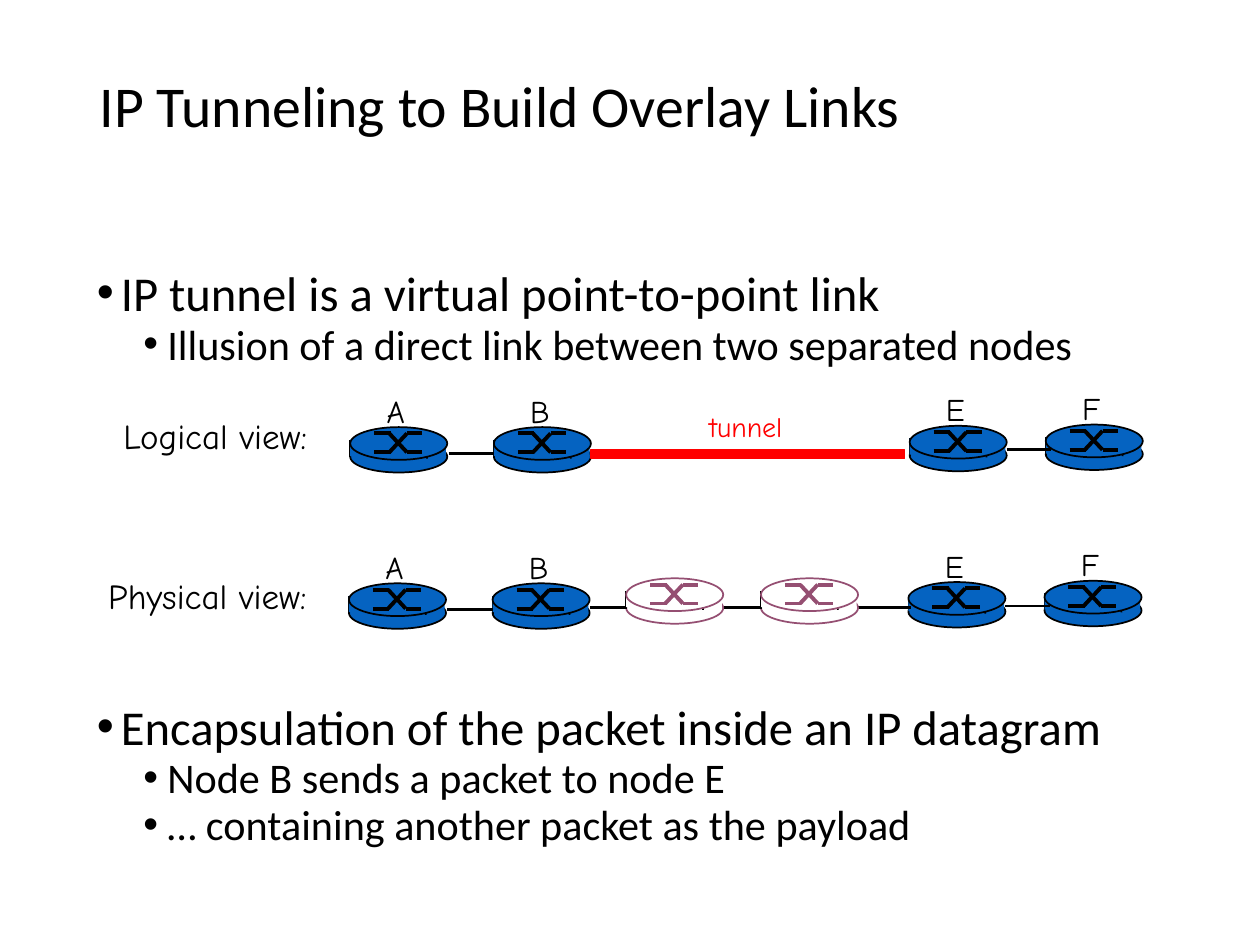
from lxml import etree
from pptx import Presentation, util as u
from pptx.dml.color import RGBColor
from pptx.enum import shapes, text
from pptx.oxml import ns

COLUMNS, ROWS = 1000, 750
CELL = u.Inches(10) // COLUMNS

BLACK = RGBColor(0x00, 0x00, 0x00)
WHITE = RGBColor(0xFF, 0xFF, 0xFF)
RED = RGBColor(0xFF, 0x00, 0x00)
BLUE = RGBColor(0x05, 0x63, 0xC1)
PLUM = RGBColor(0x95, 0x4F, 0x72)

BODY_FONT, DIAGRAM_FONT = "Calibri", "Comic Neue"

# (indent level, space before in points, wording)
BULLETS = [
    (0, 7.5, "IP tunnel is a virtual point-to-point link"),
    (1, 3.8, "Illusion of a direct link between two separated nodes"),
    (0, 194, "Encapsulation of the packet inside an IP datagram"),
    (1, 3.8, "Node B sends a packet to node E"),
    (1, 3.8, "… containing another packet as the payload"),
]
# level: (font size, left margin in columns)
LEVELS = {0: (27.8, 19), 1: (24.1, 56)}

# Router name: column and row within a view
ROUTERS = {"A": (0, 2), "B": (114, 2), "E": (444, 1), "F": (552, 0)}
TRANSIT_ROUTERS = [(220, -2), (327, -2)]
ACCESS_LINKS = [(78, 114, 23), (521, 556, 20)]

# Segments within a router: start column and row, end column and row
ROUTER_SIDES = [(0, 10, 0, 24), (60, 11, 61, 25)]
ROUTER_CROSS = [
    (19, 5, 32, 5), (45, 20, 57, 20), (31, 5, 45, 20),
    (19, 20, 32, 20), (45, 5, 57, 5), (31, 20, 45, 5),
]


def cells(*counts):
    return [u.Emu(count * CELL) for count in counts]


def style_font(font, name, size, color):
    font.name, font.size, font.color.rgb = name, u.Pt(size), color


def add_solid(parent, kind, box, fill, line=None, width=1):
    shape = parent.add_shape(kind, *cells(*box))
    shape.shadow.inherit = False
    shape.fill.solid()
    shape.fill.fore_color.rgb = fill
    if line is None:
        shape.line.fill.background()
    else:
        shape.line.color.rgb, shape.line.width = line, u.Pt(width)


def add_segment(parent, ends, color, width):
    line = parent.add_connector(shapes.MSO_CONNECTOR.STRAIGHT, *cells(*ends))
    line.line.color.rgb, line.line.width = color, u.Pt(width)
    etree.SubElement(line._element.spPr, ns.qn("a:effectLst"))


def add_label(parent, box, wording, size, color=BLACK):
    frame = parent.add_textbox(*cells(*box)).text_frame
    frame.word_wrap = False
    frame.auto_size = text.MSO_AUTO_SIZE.SHAPE_TO_FIT_TEXT
    frame.text = wording
    style_font(frame.paragraphs[0].font, DIAGRAM_FONT, size, color)


def add_router(slide, left, top, name=None, fill=BLUE, line=BLACK):
    """Draw a flat cylinder with a crossing sign, and its name above."""
    parts = slide.shapes.add_group_shape().shapes
    oval, rectangle = shapes.MSO_SHAPE.OVAL, shapes.MSO_SHAPE.RECTANGLE

    def add_segments(segments, color, width):
        for x1, y1, x2, y2 in segments:
            ends = (left + x1, top + y1, left + x2, top + y2)
            add_segment(parts, ends, color, width)

    add_solid(parts, oval, (left, top + 11, 77, 25), fill, line)
    add_segments(ROUTER_SIDES, BLACK, 1)
    add_solid(parts, rectangle, (left, top + 10, 76, 13), fill)
    add_solid(parts, oval, (left, top, 77, 26), fill, line)
    add_segments(ROUTER_CROSS, line, 2.25)
    if name:
        add_label(parts, (left + 19, top - 33, 36, 40), name, 18)


def add_view(slide, left, top):
    """Draw the four named routers and the links at both ends."""
    for name, (column, row) in ROUTERS.items():
        add_router(slide, left + column, top + row, name)
    for start, end, row in ACCESS_LINKS:
        ends = (left + start, top + row, left + end, top + row)
        add_segment(slide.shapes, ends, BLACK, 1.5)


def add_logical_view(slide, left, top):
    add_view(slide, left, top)
    add_solid(slide.shapes, shapes.MSO_SHAPE.RECTANGLE,
              (left + 191, top + 20, 249, 7), RED, RED, 0.75)
    add_label(slide.shapes, (left + 275, top - 17, 84, 37), "tunnel", 16, RED)
    add_label(slide.shapes, (left - 190, top - 13, 181, 43),
              "Logical view:", 20)


def add_physical_view(slide, left, top):
    add_view(slide, left, top)
    ends = (left + 191, top + 21, left + 446, top + 21)
    add_segment(slide.shapes, ends, BLACK, 1.5)
    for column, row in TRANSIT_ROUTERS:
        add_router(slide, left + column, top + row, fill=WHITE, line=PLUM)
    add_label(slide.shapes, (left - 201, top - 10, 195, 43),
              "Physical view:", 20)


def add_title(slide, box):
    title = slide.shapes.title
    title.left, title.top, title.width, title.height = cells(*box)
    frame = title.text_frame
    frame.text = "IP Tunneling to Build Overlay Links"
    frame.vertical_anchor = text.MSO_ANCHOR.MIDDLE
    paragraph = frame.paragraphs[0]
    paragraph.alignment = text.PP_ALIGN.LEFT
    paragraph.line_spacing = 0.9
    style_font(paragraph.font, BODY_FONT, 33, BLACK)


def add_bullets(slide, box):
    frame = slide.shapes.add_textbox(*cells(*box)).text_frame
    frame.word_wrap = True
    for index, (level, space, wording) in enumerate(BULLETS):
        paragraph = frame.add_paragraph() if index else frame.paragraphs[0]
        size, margin = LEVELS[level]
        paragraph.text, paragraph.level = wording, level
        paragraph.line_spacing, paragraph.space_before = 0.8, u.Pt(space)
        style_font(paragraph.font, BODY_FONT, size, BLACK)
        properties = paragraph._p.get_or_add_pPr()
        properties.set("marL", str(margin * CELL))
        properties.set("indent", str(-LEVELS[0][1] * CELL))
        bullet_font = etree.Element(ns.qn("a:buFont"), typeface="Arial")
        bullet = etree.Element(ns.qn("a:buChar"), char="•")
        default_run = properties.find(ns.qn("a:defRPr"))
        default_run.addprevious(bullet_font)
        default_run.addprevious(bullet)


def main():
    presentation = Presentation()
    presentation.slide_width, presentation.slide_height = cells(COLUMNS, ROWS)
    slide = presentation.slides.add_slide(presentation.slide_layouts[5])
    add_title(slide, (69, 40, 862, 93))
    add_bullets(slide, (67, 213, 862, 476))
    add_logical_view(slide, 278, 337)
    add_physical_view(slide, 277, 461)
    presentation.save("out.pptx")


if __name__ == "__main__":
    main()
